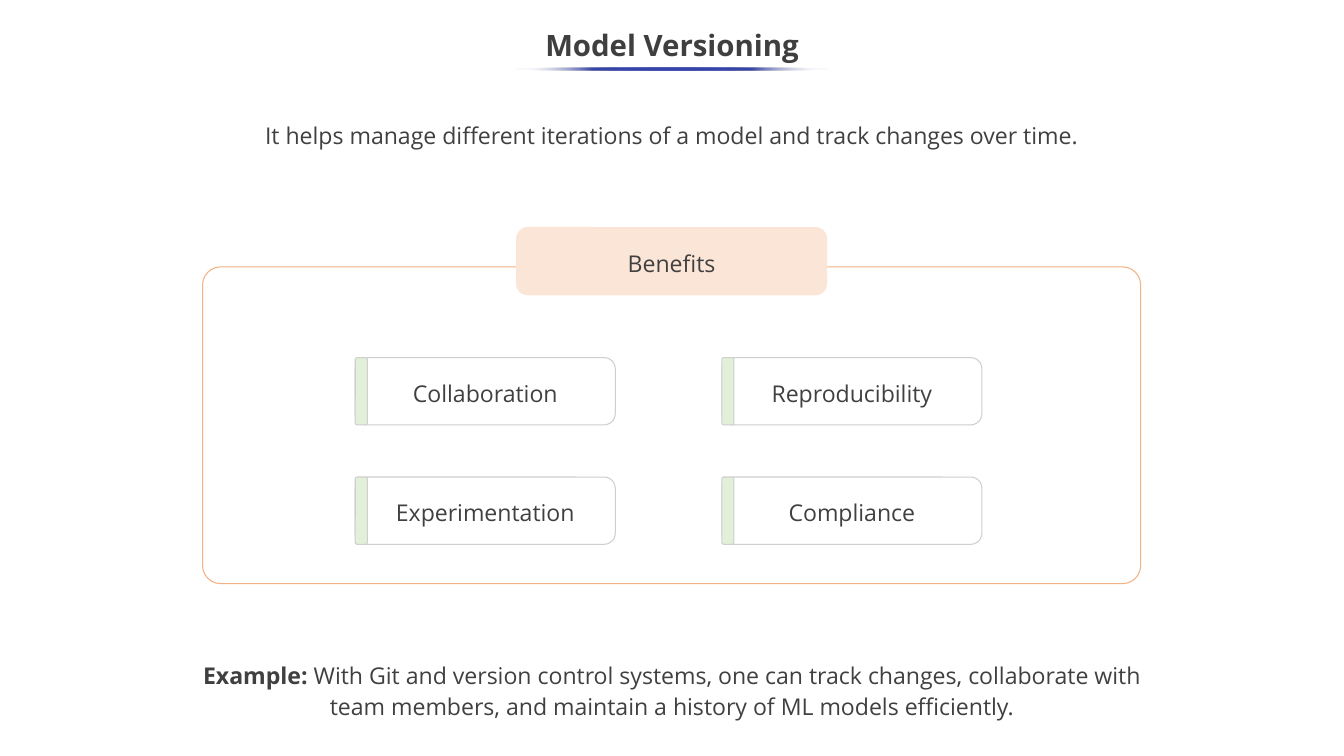
from lxml import etree
from pptx import Presentation
from pptx.dml.color import RGBColor
from pptx.enum import shapes, text
from pptx.oxml import ns
from pptx.util import Inches, Pt

FONT = "Open Sans"
HUES = {"title": "3F3F3F", "body": "404040", "rule": "3645A9", "fade": "FFFFFF",
        "frame": "F4B183", "head": "FBE5D6", "edge": "D0CECE", "bar": "E2F0D9"}
KIND = shapes.MSO_SHAPE


def write(frame, runs, size=22, hue="body", space=1.15, anchor=text.MSO_ANCHOR.TOP):
    """Fill a text frame with one centred paragraph of (words, bold) runs."""
    frame.word_wrap = True
    frame.vertical_anchor = anchor
    para = frame.paragraphs[0]
    para.alignment = text.PP_ALIGN.CENTER
    para.line_spacing = space
    for words, bold in runs:
        run = para.add_run()
        run.text = words
        run.font.name = FONT
        run.font.size = Pt(size)
        run.font.bold = bold
        run.font.color.rgb = RGBColor.from_string(HUES[hue])


def label(slide, box, runs, **style):
    """Add a text box in the given box."""
    note = slide.shapes.add_textbox(*map(Inches, box))
    write(note.text_frame, runs, **style)


def panel(slide, box, line=None, fill=None, kind=KIND.ROUNDED_RECTANGLE, words=None):
    """Add a preset shape with optional line, fill and centred words."""
    shape = slide.shapes.add_shape(kind, *map(Inches, box))
    shape.shadow.inherit = False
    if fill:
        shape.fill.solid()
        shape.fill.fore_color.rgb = RGBColor.from_string(HUES[fill])
    else:
        shape.fill.background()
    if line:
        shape.line.color.rgb = RGBColor.from_string(HUES[line])
        shape.line.width = Pt(1)
    else:
        shape.line.fill.background()
    if words:
        write(shape.text_frame, [(words, False)], anchor=text.MSO_ANCHOR.MIDDLE)
    return shape


def fade(shape):
    """Give a shape a gradient that is clear at both ends."""
    shape.fill.gradient()
    shape.fill.gradient_angle = 180
    stops = shape._element.spPr.find(".//" + ns.qn("a:gsLst"))
    for stop in list(stops):
        stops.remove(stop)
    for pos in range(0, 101, 25):
        end = pos in (0, 100)
        stop = etree.SubElement(stops, ns.qn("a:gs"), pos=str(pos * 1000))
        hue = etree.SubElement(stop, ns.qn("a:srgbClr"), val=HUES["fade" if end else "rule"])
        if end:
            etree.SubElement(hue, ns.qn("a:alpha"), val="0")


def header(slide, box, words):
    """Place the title and the fading rule under it."""
    left, top, width, height = box
    label(slide, box, [(words, True)], size=28, hue="title", space=0.9,
          anchor=text.MSO_ANCHOR.MIDDLE)
    span = 4.19
    rule = (left + (width - span) / 2, top + 0.64, span, 0.04)
    fade(panel(slide, rule, kind=KIND.OVAL))


def card(slide, box, words):
    """Place an outlined card with a coloured bar on its left edge."""
    left, top, _, height = box
    panel(slide, box, line="edge", words=words)
    panel(slide, (left, top, 0.16, height), line="edge", fill="bar")


def benefits(slide, box, head, names):
    """Place the frame, a two-column grid of cards and the heading tab."""
    left, top, width, _ = box
    panel(slide, box, line="frame").adjustments[0] = 0.057
    tall = 0.89
    for i, name in enumerate(names):
        row, col = divmod(i, 2)
        card(slide, (left + 2.02 + col * 4.85, top + 1.2 + row * 1.58, 3.44, tall), name)
    wide = 4.1
    panel(slide, (left + (width - wide) / 2, top - 0.52, wide, tall),
          line="head", fill="head", words=head)


def main():
    """Build and save the slide."""
    deck = Presentation()
    deck.slide_width, deck.slide_height = Inches(17.78), Inches(10)
    slide = deck.slides.add_slide(deck.slide_layouts[6])
    header(slide, (-0.01, 0.25, 17.8, 0.75), "Model Versioning")
    label(slide, (3.37, 1.5, 11.03, 0.5), [
        ("It helps manage different iterations of a model and track changes over time.", False)])
    label(slide, (2.48, 8.64, 12.82, 0.93), [
        ("Example: ", True),
        ("With Git and version control systems, one can track changes, collaborate with "
         "team members, and maintain a history of ML models efficiently.", False)])
    benefits(slide, (2.68, 3.53, 12.41, 4.19), "Benefits",
             ["Collaboration", "Reproducibility", "Experimentation", "Compliance"])
    deck.save("out.pptx")


if __name__ == "__main__":
    main()
